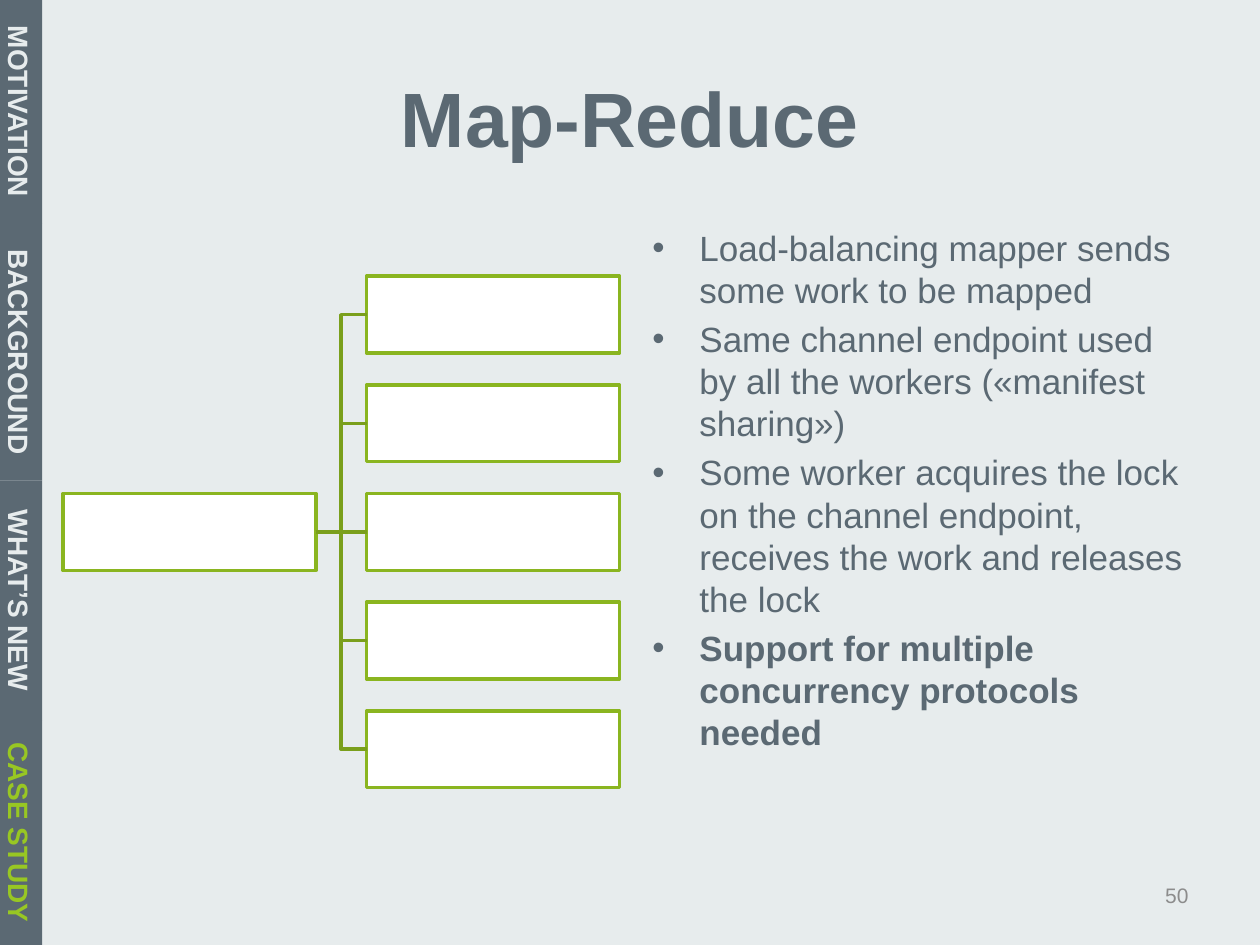
"""Build the Map-Reduce slide: a worker tree, its bullet points and the chapter tabs."""
from dataclasses import dataclass

from lxml.etree import SubElement
from pptx import Presentation
from pptx.dml.color import RGBColor
from pptx.enum.shapes import MSO_CONNECTOR as Link, MSO_SHAPE as Shape
from pptx.enum.text import MSO_ANCHOR as Anchor, PP_ALIGN as Align
from pptx.oxml.ns import qn
from pptx.util import Cm, Pt


@dataclass(frozen=True)
class Theme:
    font: str = "Arial"
    paper: str = "E7ECED"
    slate: str = "5B6973"
    box: str = "FFFFFF"
    outline: str = "8AB520"
    branch: str = "7A9F1C"
    active: str = "98C723"
    muted: str = "8C8C8C"
    title_size: int = 44
    body_size: int = 20
    tab_size: int = 16
    number_size: int = 12
    line_width: int = 2


theme = Theme()


def write(paragraph, text, size, color, bold=False, align=Align.LEFT):
    paragraph.alignment = align
    run = paragraph.add_run()
    run.text = text
    run.font.name = theme.font
    run.font.size = Pt(size)
    run.font.bold = bold
    run.font.color.rgb = RGBColor.from_string(color)


def add_rect(left, top, width, height, fill):
    rect = slide.shapes.add_shape(Shape.RECTANGLE, Cm(left), Cm(top), Cm(width), Cm(height))
    rect.shadow.inherit = False
    rect.fill.solid()
    rect.fill.fore_color.rgb = RGBColor.from_string(fill)
    rect.line.fill.background()
    return rect


deck = Presentation()
deck.slide_width, deck.slide_height = Cm(25.4), Cm(19.05)
slide = deck.slides.add_slide(deck.slide_layouts[6])
slide.background.fill.solid()
slide.background.fill.fore_color.rgb = RGBColor.from_string(theme.paper)

title = slide.shapes.add_textbox(Cm(1.27), Cm(0.76), Cm(22.86), Cm(3.18)).text_frame
title.word_wrap = True
title.vertical_anchor = Anchor.MIDDLE
write(title.paragraphs[0], "Map-Reduce", theme.title_size, theme.slate, True, Align.CENTER)

worker_count, worker_left, first_top, pitch = 5, 7.39, 5.57, 2.19
node_width, node_height = 5.1, 1.55
middle = worker_count // 2
mapper = add_rect(1.27, first_top + middle * pitch, node_width, node_height, theme.box)
workers = [add_rect(worker_left, first_top + i * pitch, node_width, node_height, theme.box)
           for i in range(worker_count)]
for node in [mapper, *workers]:
    node.line.color.rgb = RGBColor.from_string(theme.outline)
    node.line.width = Pt(theme.line_width)

for i, worker in enumerate(workers):
    kind = Link.STRAIGHT if i == middle else Link.ELBOW
    branch = slide.shapes.add_connector(
        kind, mapper.left + mapper.width, mapper.top + mapper.height // 2,
        worker.left, worker.top + worker.height // 2)
    branch.begin_connect(mapper, 3)
    branch.end_connect(worker, 1)
    branch.line.color.rgb = RGBColor.from_string(theme.branch)
    branch.line.width = Pt(theme.line_width)
    SubElement(branch._element.spPr, qn("a:effectLst"))

points = [
    ("Load-balancing mapper sends some work to be mapped", False),
    ("Same channel endpoint used by all the workers («manifest sharing»)", False),
    ("Some worker acquires the lock on the channel endpoint, "
     "receives the work and releases the lock", False),
    ("Support for multiple concurrency protocols needed", True),
]
body = slide.shapes.add_textbox(Cm(12.9), Cm(4.45), Cm(11.23), Cm(12.57)).text_frame
body.word_wrap = True
for i, (point, bold) in enumerate(points):
    paragraph = body.add_paragraph() if i else body.paragraphs[0]
    paragraph.space_before = Pt(theme.body_size * 0.2)
    write(paragraph, point, theme.body_size, theme.slate, bold)
    properties = paragraph._p.get_or_add_pPr()
    properties.set("marL", str(Cm(0.95)))
    properties.set("indent", str(-Cm(0.95)))
    SubElement(properties, qn("a:buFont"), typeface=theme.font)
    SubElement(properties, qn("a:buChar"), char="•")

number = slide.shapes.add_textbox(Cm(18.29), Cm(17.53), Cm(5.92), Cm(1.02)).text_frame
number.word_wrap = True
number.vertical_anchor = Anchor.MIDDLE
write(number.paragraphs[0], "50", theme.number_size, theme.muted, align=Align.RIGHT)

chapters = [
    ("MOTIVATION", 4.5, theme.paper),
    ("BACKGROUND", 5.19, theme.paper),
    ("WHAT’S NEW", 4.83, theme.paper),
    ("CASE STUDY", 4.53, theme.active),
]
tab_center, tab_depth, tab_start = 0.38, 0.94, 0
for chapter, length, color in chapters:
    tab = add_rect(tab_center - length / 2, tab_start + (length - tab_depth) / 2,
                   length, tab_depth, theme.slate)
    tab.rotation = 90
    tab.text_frame.word_wrap = False
    tab.text_frame.vertical_anchor = Anchor.TOP
    write(tab.text_frame.paragraphs[0], chapter, theme.tab_size, color, True, Align.CENTER)
    tab_start += length

deck.save("out.pptx")
